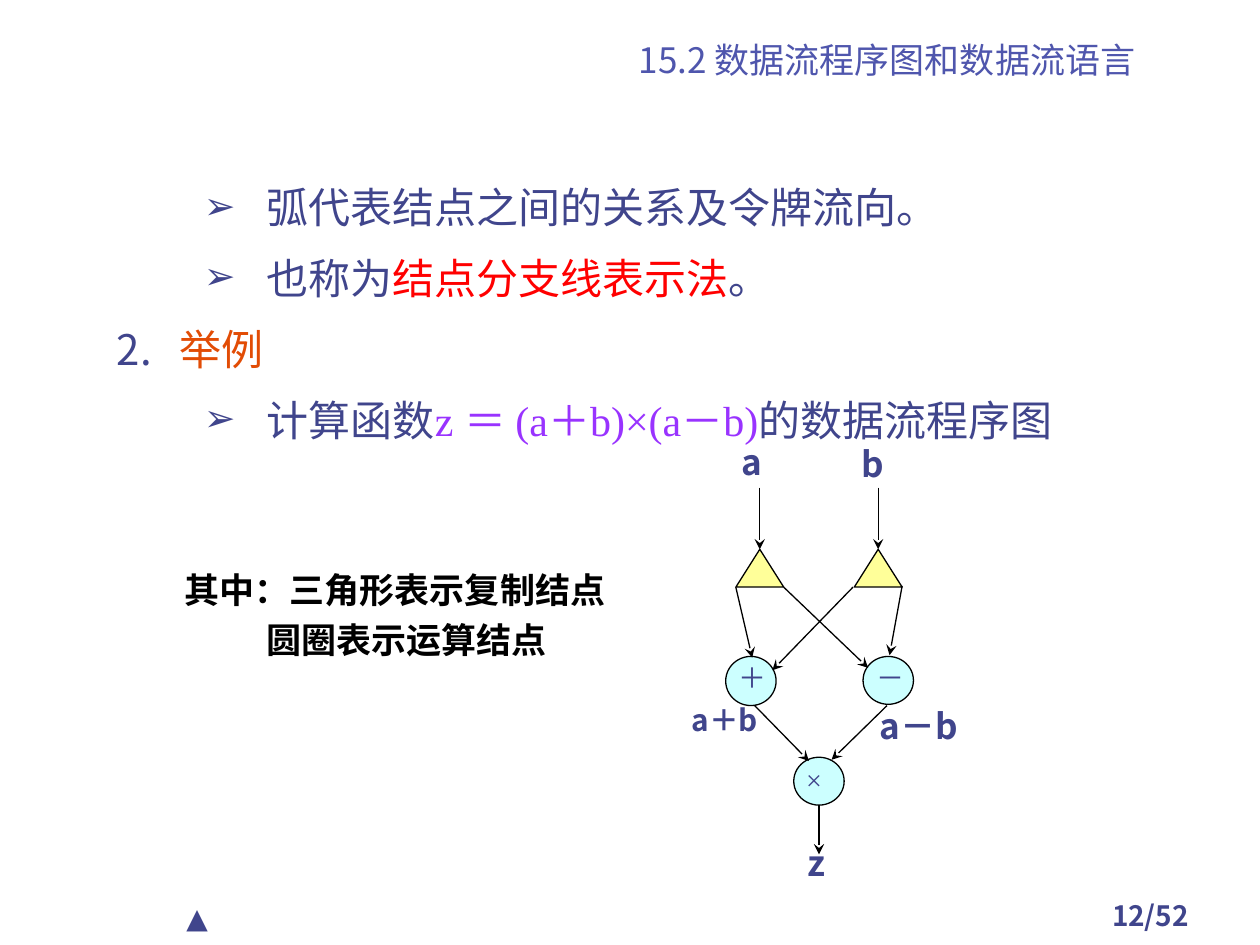
"""Build the slide on data flow graphs with the example z = (a + b) × (a - b)."""
from lxml import etree
from pptx import Presentation
from pptx.dml.color import RGBColor
from pptx.enum.shapes import MSO_CONNECTOR, MSO_SHAPE
from pptx.enum.text import MSO_ANCHOR, PP_ALIGN
from pptx.oxml.ns import qn
from pptx.util import Inches, Pt

LEFT, CENTER, JUSTIFY = PP_ALIGN.LEFT, PP_ALIGN.CENTER, PP_ALIGN.JUSTIFY
BOTTOM = MSO_ANCHOR.BOTTOM
TRIANGLE, OVAL = MSO_SHAPE.ISOSCELES_TRIANGLE, MSO_SHAPE.OVAL
STRAIGHT = MSO_CONNECTOR.STRAIGHT
SANS, KARLA, TIMES = "Noto Sans CJK SC", "Karla", "Times New Roman"
COLORS = {
    "ink": "40458C", "title": "4F56AD", "red": "FF0000", "orange": "E24C05",
    "purple": "9933FF", "black": "000000", "fork": "FFFF99", "operation": "CCFFFF",
}


def add_span(para, text, size, font, color, bold=False):
    span = para.add_run()
    span.text = text
    span.font.size = Pt(size)
    span.font.name = font
    span.font.bold = bold
    span.font.color.rgb = RGBColor.from_string(COLORS[color])
    east_asian = etree.SubElement(span.font._element, qn("a:ea"))
    east_asian.set("typeface", SANS)


def add_box(page, place, text, size, font=SANS, color="ink", bold=False, align=LEFT):
    box = page.shapes.add_textbox(*map(Inches, place))
    box.text_frame.word_wrap = True
    para = box.text_frame.paragraphs[0]
    para.alignment = align
    if text:
        add_span(para, text, size, font, color, bold)
    return box


deck = Presentation()
deck.slide_width, deck.slide_height = Inches(10), Inches(7.5)
page = deck.slides.add_slide(deck.slide_layouts[6])

add_box(page, (8.42, 7.08, 1.42, 0.33), "12/52", 16, bold=True, align=CENTER)
marker = add_box(page, (1.38, 7.1, 1.42, 0.37), "▲", 16, KARLA)
marker.text_frame.paragraphs[0].space_before = Pt(10)
title = add_box(page, (4.25, 0.27, 5.58, 0.42), "15.2 数据流程序图和数据流语言", 20,
                color="title", align=CENTER)
title.text_frame.vertical_anchor = BOTTOM

body = add_box(page, (0.83, 1.31, 8.5, 2.28), "", 24).text_frame
body_lines = [
    (1, [("弧代表结点之间的关系及令牌流向。", KARLA, "ink")]),
    (1, [("也称为", KARLA, "ink"), ("结点分支线表示法", KARLA, "red"), ("。", KARLA, "ink")]),
    (0, [("举例", KARLA, "orange")]),
    (1, [("计算函数", KARLA, "ink"), ("z ＝ (a＋b)×(a－b)", TIMES, "purple"),
         ("的数据流程序图", KARLA, "ink")]),
]
for index, (level, spans) in enumerate(body_lines):
    para = body.add_paragraph() if index else body.paragraphs[0]
    para.level = level
    para.line_spacing = 1.2
    para.space_before = Pt(6)
    for text, font, color in spans:
        add_span(para, text, 24, font, color)
    settings = para._p.get_or_add_pPr()
    settings.set("marL", str(Inches(1.19 if level else 0.5)))
    settings.set("indent", str(Inches(-0.5)))
    bullet_color = etree.SubElement(settings, qn("a:buClr"))
    etree.SubElement(bullet_color, qn("a:srgbClr")).set("val", COLORS["ink"])
    if level:
        etree.SubElement(settings, qn("a:buSzPct")).set("val", "90000")
        etree.SubElement(settings, qn("a:buFont")).set("typeface", KARLA)
        etree.SubElement(settings, qn("a:buChar")).set("char", "➢")
    else:
        number = etree.SubElement(settings, qn("a:buAutoNum"))
        number.set("type", "arabicPeriod")
        number.set("startAt", "2")

nodes = []
for kind, place, fill in [
    (TRIANGLE, (5.84, 4.36, 0.38, 0.3), "fork"),
    (TRIANGLE, (6.78, 4.36, 0.38, 0.3), "fork"),
    (OVAL, (5.76, 5.21, 0.4, 0.39), "operation"),
    (OVAL, (6.85, 5.21, 0.4, 0.38), "operation"),
    (OVAL, (6.3, 6.01, 0.4, 0.38), "operation"),
]:
    node = page.shapes.add_shape(kind, *map(Inches, place))
    node.shadow.inherit = False
    node.fill.solid()
    node.fill.fore_color.rgb = RGBColor.from_string(COLORS[fill])
    node.line.color.rgb = RGBColor.from_string(COLORS["black"])
    node.line.width = Pt(0.75)
    nodes.append(node)
fork_a, fork_b = nodes[:2]

for start, end, target in [
    ((6.03, 3.87), (6.03, 4.36), fork_a),
    ((6.97, 3.87), (6.97, 4.36), fork_b),
    ((6.22, 4.66), (6.89, 5.3), None),
    ((6.77, 4.66), (6.13, 5.32), None),
    ((5.84, 4.66), (5.97, 5.22), None),
    ((7.16, 4.65), (7.06, 5.2), None),
    ((7.04, 5.6), (6.6, 6.03), None),
    ((5.99, 5.6), (6.42, 6.04), None),
    ((6.5, 6.39), (6.5, 6.78), None),
]:
    arc = page.shapes.add_connector(STRAIGHT, *map(Inches, start + end))
    if target:
        arc.end_connect(target, 0)
    arc.line.color.rgb = RGBColor.from_string(COLORS["black"])
    arc.line.width = Pt(0.75)
    etree.SubElement(arc.line._get_or_add_ln(), qn("a:tailEnd")).set("type", "stealth")
    etree.SubElement(arc._element.spPr, qn("a:effectLst"))

for text, place in [
    ("＋", (5.76, 5.19, 0.64, 0.53)),
    ("－", (6.86, 5.19, 0.63, 0.53)),
    ("×", (6.3, 6, 0.64, 0.53)),
]:
    add_box(page, place, text, 16, TIMES, align=JUSTIFY)

for text, place, size in [
    ("a", (5.79, 3.45, 0.54, 0.5), 20),
    ("b", (6.74, 3.46, 0.54, 0.5), 20),
    ("z", (6.31, 6.63, 0.54, 0.5), 20),
    ("a＋b", (5.39, 5.55, 0.87, 0.42), 17),
    ("a－b", (6.88, 5.54, 1.19, 0.54), 20),
]:
    label = add_box(page, place, text, size, bold=True, align=JUSTIFY)
    if size == 17:
        label.text_frame.paragraphs[0].line_spacing = 0.9

legend = add_box(page, (0.27, 4.46, 4.73, 0.84), "其中：三角形表示复制结点", 20,
                 color="black", bold=True, align=CENTER).text_frame
second = legend.add_paragraph()
second.alignment = CENTER
second.space_before = Pt(4.5)
add_span(second, "圆圈表示运算结点", 20, SANS, "black", True)
for para, margin in zip(legend.paragraphs, (1, 1.18)):
    para._p.get_or_add_pPr().set("marL", str(Inches(margin)))

deck.save("out.pptx")
